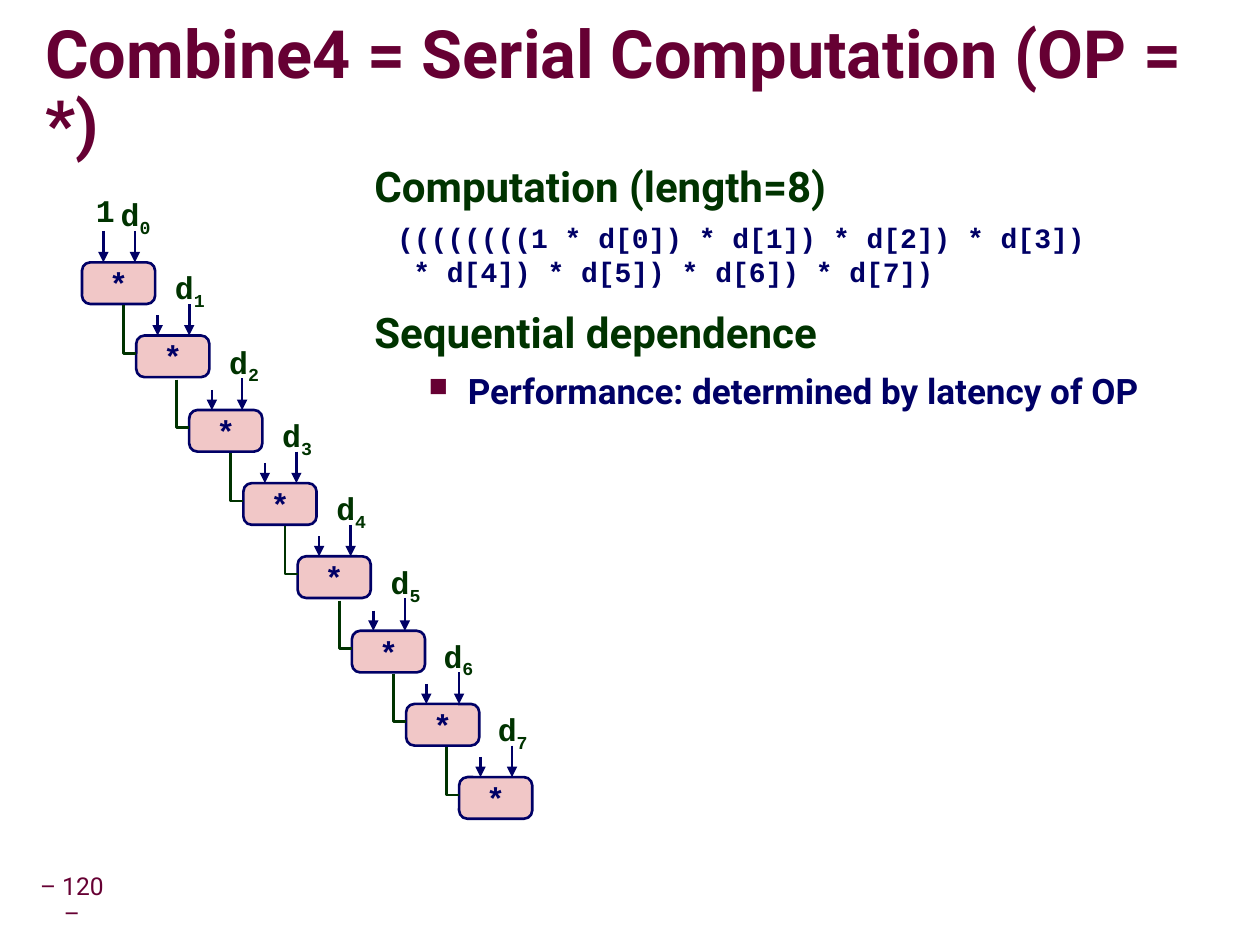
import lxml.etree
import pptx
import pptx.dml.color
import pptx.enum.shapes
import pptx.enum.text
import pptx.oxml.ns
import pptx.util

RGB = pptx.dml.color.RGBColor
WINE = RGB(0x66, 0x00, 0x33)
GREEN = RGB(0x00, 0x33, 0x00)
NAVY = RGB(0x00, 0x00, 0x66)
PINK = RGB(0xF1, 0xC7, 0xC7)
SHAPE = pptx.enum.shapes.MSO_SHAPE
LINK = pptx.enum.shapes.MSO_CONNECTOR
ALIGN = pptx.enum.text.PP_ALIGN
ANCHOR = pptx.enum.text.MSO_ANCHOR
Pt = pptx.util.Pt
qn = pptx.oxml.ns.qn

SCALE = 9144
COUNT = 8
STEP_X = 42.75
STEP_Y = 58.3


def font(name, size, color, bold=True):
    return {"name": name, "size": Pt(size), "bold": bold, "color": color}


def add(parent, tag, **values):
    return lxml.etree.SubElement(parent, qn(tag), values)


class Deck:
    title = font("Roboto", 38, WINE)
    head = font("Roboto", 24, GREEN)
    point = font("Roboto", 20, NAVY)
    code = font("Courier New", 16, NAVY)
    node = font("Courier New", 18, NAVY)
    label = font("Courier New", 18, GREEN)
    foot = font("Roboto", 14, WINE, False)

    def __init__(self, width, height):
        self.show = pptx.Presentation()
        self.show.slide_width = self.px(width)
        self.show.slide_height = self.px(height)
        self.slide = self.show.slides.add_slide(self.show.slide_layouts[6])
        self.shapes = self.slide.shapes

    def px(self, value):
        return pptx.util.Emu(round(value) * SCALE)

    def area(self, *values):
        return [self.px(value) for value in values]

    def setup(self, frame, side=0, edge=0, **values):
        values = {"margin_left": self.px(side), "margin_right": self.px(side),
                  "margin_top": self.px(edge), "margin_bottom": self.px(edge),
                  "word_wrap": True, **values}
        for key, value in values.items():
            setattr(frame, key, value)
        return frame

    def run(self, para, text, style):
        run = para.add_run()
        run.text = text
        for key, value in style.items():
            if key == "color":
                run.font.color.rgb = value
            else:
                setattr(run.font, key, value)
        return run

    def para(self, frame, lines, style, left=0, indent=0, bullet=False, **values):
        para = frame.paragraphs[0]
        if para.runs:
            para = frame.add_paragraph()
        props = para._p.get_or_add_pPr()
        props.set("marL", str(self.px(left)))
        props.set("indent", str(self.px(indent)))
        if bullet:
            add(add(props, "a:buClr"), "a:srgbClr", val=str(WINE))
            add(props, "a:buSzPct", val="75000")
            add(props, "a:buChar", char="■")
        for key, value in values.items():
            setattr(para, key, value)
        for index, line in enumerate(lines):
            if index:
                para.add_line_break()
            run = self.run(para, line, style)
        return run

    def box(self, x, y, w, h, **values):
        return self.setup(self.shapes.add_textbox(*self.area(x, y, w, h)).text_frame, **values)

    def name(self, x, y, w, text, sub=""):
        frame = self.box(x, y, w, 38, side=5, edge=5, word_wrap=False)
        self.para(frame, [text], self.label, alignment=ALIGN.CENTER, line_spacing=0.9)
        if sub:
            run = self.run(frame.paragraphs[0], sub, self.label)
            run._r.get_or_add_rPr().set("baseline", "-25000")

    def stroke(self, line, color):
        line.color.rgb = color
        line.width = Pt(1.5)

    def star(self, x, y):
        shape = self.shapes.add_shape(SHAPE.ROUNDED_RECTANGLE, *self.area(x, y, 58, 33))
        shape.adjustments[0] = 0.2
        shape.shadow.inherit = False
        shape.fill.solid()
        shape.fill.fore_color.rgb = PINK
        self.stroke(shape.line, NAVY)
        frame = self.setup(shape.text_frame, side=10, edge=5, word_wrap=False,
                           vertical_anchor=ANCHOR.MIDDLE)
        self.para(frame, ["*"], self.node, alignment=ALIGN.CENTER)

    def arrow(self, x, y, size):
        link = self.shapes.add_connector(LINK.STRAIGHT, *self.area(x, y - size, x, y))
        self.stroke(link.line, NAVY)
        add(link.line._get_or_add_ln(), "a:tailEnd", type="triangle")
        add(link._element.spPr, "a:effectLst")

    def elbow(self, x, y):
        x, y = round(x), round(y)
        path = self.shapes.build_freeform(x - 10, y - 24, scale=SCALE)
        path.add_line_segments([(x - 10, y + 14), (x, y + 14)], close=False)
        shape = path.convert_to_shape()
        shape.shadow.inherit = False
        shape.fill.background()
        self.stroke(shape.line, GREEN)


def main():
    deck = Deck(999, 749)

    foot = deck.box(23, 698, 68, 32, side=5, edge=5, vertical_anchor=ANCHOR.MIDDLE)
    deck.para(foot, ["– 120 –"], deck.foot, alignment=ALIGN.CENTER, line_spacing=0.9)

    title = deck.box(36, 31, 946, 85, vertical_anchor=ANCHOR.MIDDLE)
    run = deck.para(title, ["Combine4 = Serial Computation (OP = *)"], deck.title,
                    line_spacing=0.87)
    glow = lxml.etree.Element(qn("a:effectLst"))
    shade = add(glow, "a:outerShdw", blurRad="38100", dist="38100", dir="2700000")
    add(add(shade, "a:srgbClr", val="C0C0C0"), "a:alpha", val="100000")
    run.font._element.find(qn("a:solidFill")).addnext(glow)

    body = deck.box(287, 125, 695, 183, side=10, edge=5)
    deck.para(body, ["Computation (length=8)"], deck.head, 31, -31, line_spacing=0.95)
    deck.para(body, ["((((((((1 * d[0]) * d[1]) * d[2]) * d[3])",
                     "* d[4]) * d[5]) * d[6]) * d[7])"],
              deck.code, 31, -13, space_before=Pt(5))
    deck.para(body, ["Sequential dependence"], deck.head, 31, -31,
              line_spacing=0.95, space_before=Pt(13))
    deck.para(body, ["Performance: determined by latency of OP"], deck.point, 74, -31,
              bullet=True, space_before=Pt(6))

    deck.name(71, 150, 25, "1")
    for index in range(COUNT):
        x = 65 + index * STEP_X
        y = 208 + index * STEP_Y
        deck.star(x, y)
        deck.arrow(x + 17, y, 16 if index else 25)
        deck.arrow(x + 42, y, 25)
        deck.name(x + 25, y - 58, 35, "d", str(index))
        if index:
            deck.elbow(x, y)

    deck.show.save("out.pptx")


if __name__ == "__main__":
    main()
